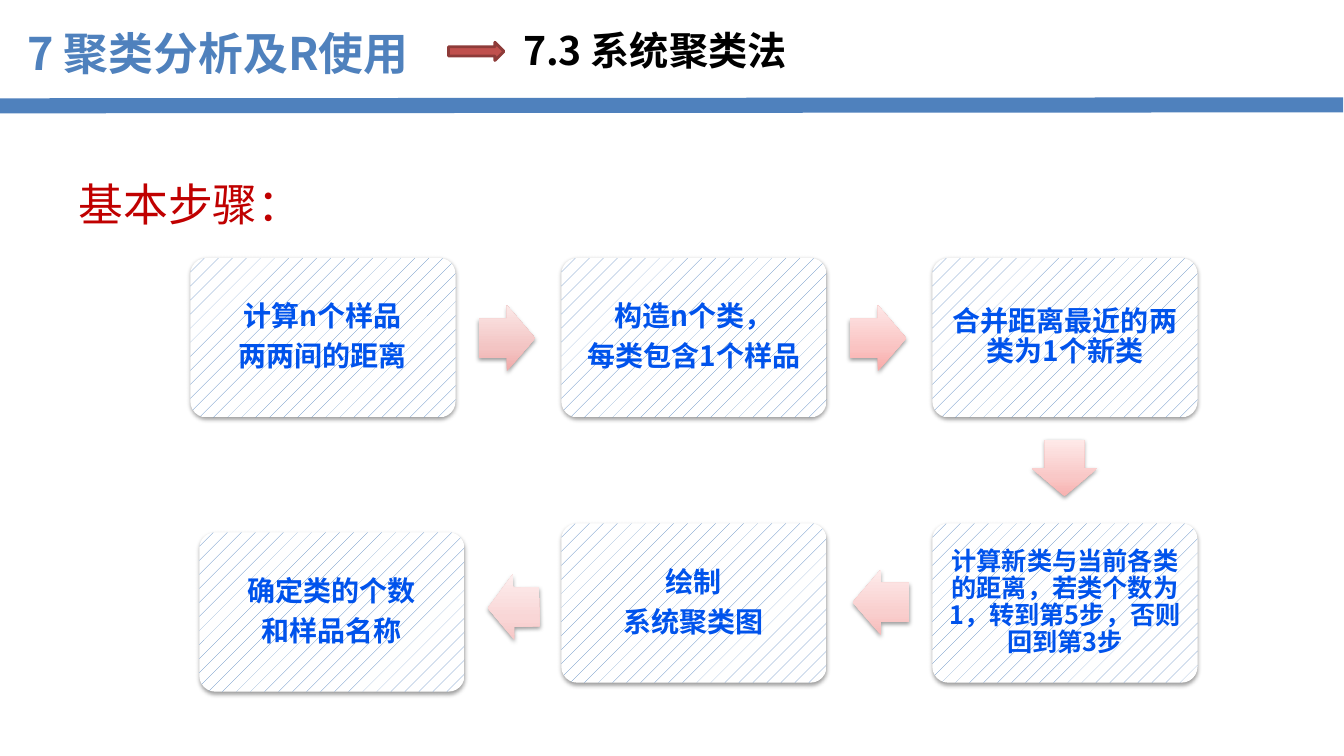
from dataclasses import dataclass

from lxml.etree import SubElement as Sub
from pptx import Presentation
from pptx.dml.color import RGBColor as RGB
from pptx.enum.dml import MSO_PATTERN as Pat
from pptx.enum.shapes import MSO_CONNECTOR as Conn, MSO_SHAPE as Kind
from pptx.enum.text import MSO_ANCHOR as Anchor, PP_ALIGN as Align
from pptx.oxml.ns import qn
from pptx.util import Pt

FONT = "Noto Sans CJK SC"
HUES = {"blue": "4F81BD", "ink": "0053EC", "black": "000000", "white": "FFFFFF",
        "red": "C00000", "brick": "C0504D", "rust": "8E3B39"}
LEFT, STEP, TOP, LOW = 136, 265, 184.3, 373.8
WIDE, HIGH = 189.4, 113.8


@dataclass
class Label:
    text: str
    x: float
    y: float
    w: float
    h: float
    size: int
    hue: str
    bold: bool = True


@dataclass
class Card:
    x: float
    y: float
    lines: list[str]
    size: int = 20
    pad: float = 5.76


@dataclass
class Arrow:
    x: float
    y: float
    stops: list[str]
    turn: float = 0
    w: float = 40.3


HEAD = Label("7 聚类分析及R使用", 12.2, 14.4, 401, 46, 32, "blue")
LABELS = [
    Label("7.3 系统聚类法", 366.5, 15.1, 506, 41, 28, "black"),
    Label("基本步骤：", 49, 122.4, 175.7, 46, 32, "red", False),
]
CARDS = [
    Card(LEFT, TOP, ["计算n个样品", "两两间的距离"]),
    Card(LEFT + STEP, TOP, ["构造n个类，", "每类包含1个样品"]),
    Card(LEFT + 2 * STEP, TOP, ["合并距离最近的两类为1个新类"]),
    Card(LEFT + 2 * STEP, LOW,
         ["计算新类与当前各类的距离，若类个数为1，转到第5步，否则回到第3步"], 18, 5.04),
    Card(LEFT + STEP, LOW, ["绘制", "系统聚类图"]),
    Card(LEFT + 6.4, LOW + 6.4, ["确定类的个数", "和样品名称"]),
]
ARROWS = [
    Arrow(342, 218.2, ["F0A9A8", "F3C4C3", "FBE8E7"]),
    Arrow(607, 218.2, ["F9A9A7", "FAC3C2", "FEE7E7"]),
    Arrow(740.2, 311, ["F8B1AF", "F9C8C7", "FEE9E8"], 90),
    Arrow(609.1, 406.8, ["F8BBBA", "F9CFCE", "FEEBEB"], 180),
    Arrow(348.5, 410.4, ["F7C6C5", "F9D6D6", "FDEEEE"], 178.5, 36.7),
]


def tint(name: str) -> RGB:
    """Return the named colour."""
    return RGB.from_string(HUES[name])


def style(para, size: int, hue: str, bold: bool) -> None:
    """Set the font of a whole paragraph."""
    font = para.font
    font.size, font.bold, font.name = Pt(size), bold, FONT
    font.color.rgb = tint(hue)
    base = para._p.pPr.find(qn("a:defRPr"))
    Sub(base, qn("a:ea")).set("typeface", FONT)


def write(shape, label: Label) -> None:
    """Place a one-line label in a text shape."""
    shape.left, shape.top = Pt(label.x), Pt(label.y)
    shape.width, shape.height = Pt(label.w), Pt(label.h)
    frame = shape.text_frame
    frame.word_wrap, frame.vertical_anchor = True, Anchor.TOP
    para = frame.paragraphs[0]
    para.text, para.alignment = label.text, Align.LEFT
    style(para, label.size, label.hue, label.bold)


def shade(shape) -> None:
    """Give a shape a soft shadow below it."""
    shape.shadow.inherit = False
    effects = shape._element.spPr.find(qn("a:effectLst"))
    outer = Sub(effects, qn("a:outerShdw"), blurRad=str(Pt(3.1)), dist=str(Pt(1.6)),
                dir="5400000", rotWithShape="0")
    color = Sub(outer, qn("a:srgbClr"), val=HUES["black"])
    Sub(color, qn("a:alpha"), val="38000")


def add_card(shapes, card: Card) -> None:
    """Draw one step as a hatched rounded card."""
    box = shapes.add_shape(Kind.ROUNDED_RECTANGLE, Pt(card.x), Pt(card.y),
                           Pt(WIDE), Pt(HIGH))
    box.adjustments[0] = 0.1
    box.fill.patterned()
    box.fill.pattern = Pat.PERCENT_5
    box.fill.fore_color.rgb, box.fill.back_color.rgb = tint("blue"), tint("white")
    box.line.fill.background()
    shade(box)
    frame = box.text_frame
    frame.word_wrap, frame.vertical_anchor = True, Anchor.MIDDLE
    frame.margin_left = frame.margin_right = Pt(card.pad)
    frame.margin_top = frame.margin_bottom = Pt(card.pad)
    frame.text = "\n".join(card.lines)
    for para in frame.paragraphs:
        para.alignment, para.line_spacing = Align.CENTER, 0.9
        para.space_after = Pt(0.35 * card.size)
        style(para, card.size, "ink", True)


def add_arrow(shapes, arrow: Arrow) -> None:
    """Draw one gradient arrow between cards."""
    shape = shapes.add_shape(Kind.RIGHT_ARROW, Pt(arrow.x), Pt(arrow.y),
                             Pt(arrow.w), Pt(46.8))
    shape.adjustments[0], shape.adjustments[1] = 0.6, 0.5
    shape.rotation = arrow.turn
    shape.fill.gradient()
    shape.fill.gradient_angle = 90
    grad = shape._element.spPr.find(qn("a:gradFill"))
    grad.set("rotWithShape", "0")
    stops = grad.find(qn("a:gsLst"))
    stops.clear()
    for place, value in zip((0, 35, 100), arrow.stops):
        stop = Sub(stops, qn("a:gs"), pos=str(place * 1000))
        Sub(stop, qn("a:srgbClr"), val=value)
    shape.line.fill.background()
    shade(shape)


def add_rule(shapes) -> None:
    """Draw the thick line under the title."""
    rule = shapes.add_connector(Conn.STRAIGHT, Pt(5), Pt(75.6), Pt(954), Pt(74.9))
    rule.line.color.rgb, rule.line.width = tint("blue"), Pt(10.75)
    props = rule._element.spPr
    props.find(qn("a:ln")).set("cap", "sq")
    Sub(props, qn("a:effectLst"))


def add_mark(shapes) -> None:
    """Draw the small arrow between the two headings."""
    mark = shapes.add_shape(Kind.RIGHT_ARROW, Pt(320.4), Pt(30.2), Pt(39.6), Pt(13))
    mark.shadow.inherit = False
    mark.fill.solid()
    mark.fill.fore_color.rgb = tint("brick")
    mark.line.color.rgb, mark.line.width = tint("rust"), Pt(2)


def main() -> None:
    """Build the slide and save it."""
    deck = Presentation()
    deck.slide_width, deck.slide_height = Pt(960), Pt(540)
    shapes = deck.slides.add_slide(deck.slide_layouts[5]).shapes
    write(shapes.title, HEAD)
    add_rule(shapes)
    add_mark(shapes)
    for label in LABELS:
        write(shapes.add_textbox(0, 0, 0, 0), label)
    for card in CARDS:
        add_card(shapes, card)
    for arrow in ARROWS:
        add_arrow(shapes, arrow)
    deck.save("out.pptx")


if __name__ == "__main__":
    main()
